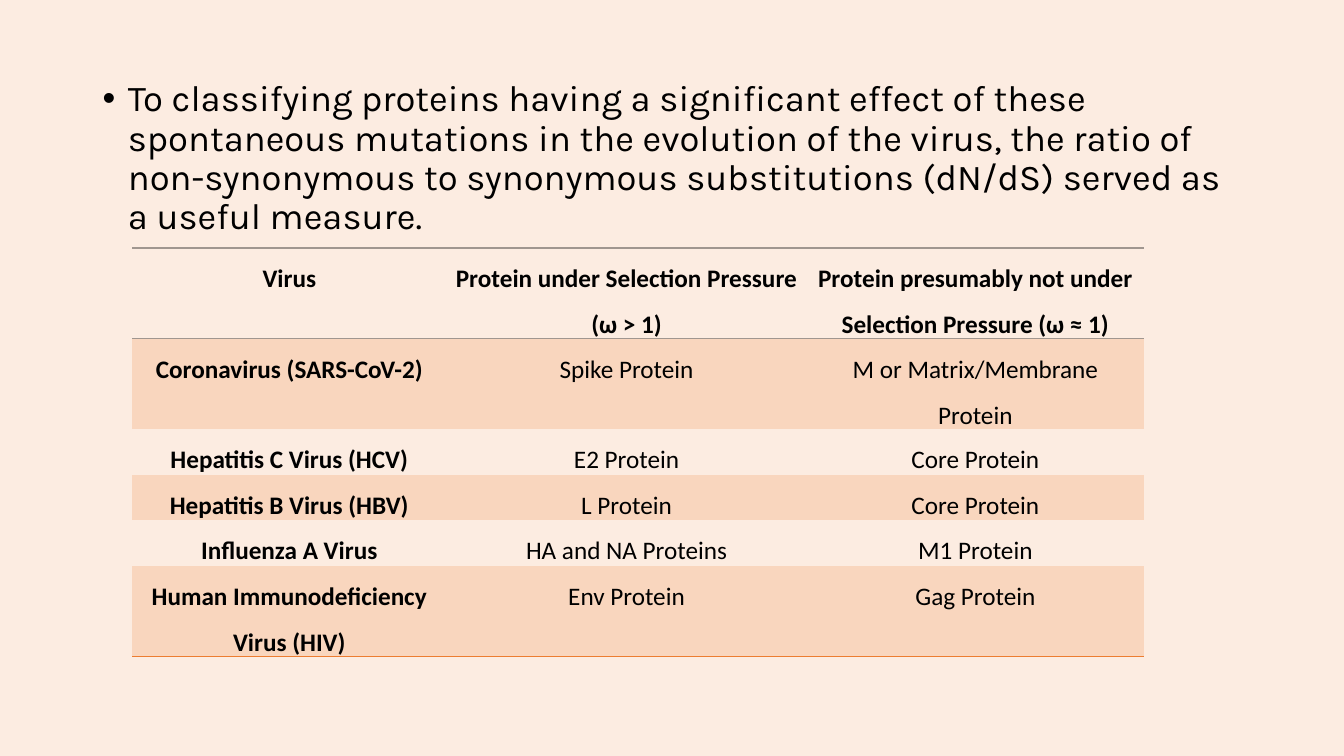
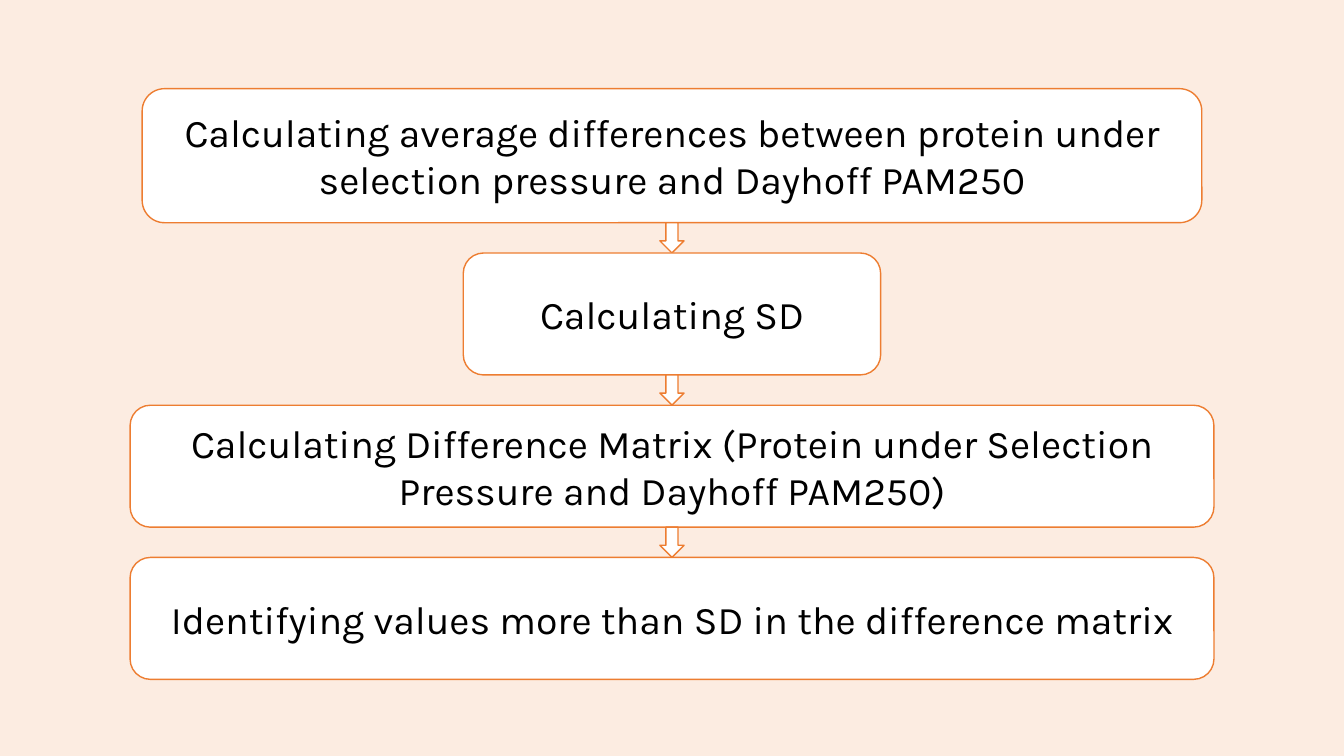
from lxml import etree
from pptx import Presentation
from pptx.dml.color import RGBColor
from pptx.enum.shapes import MSO_SHAPE
from pptx.enum.text import MSO_ANCHOR, PP_ALIGN
from pptx.oxml.ns import qn
from pptx.util import Inches, Pt

ROUNDED = MSO_SHAPE.ROUNDED_RECTANGLE
DOWN_ARROW = MSO_SHAPE.DOWN_ARROW
MIDDLE = MSO_ANCHOR.MIDDLE
CENTER = PP_ALIGN.CENTER

BACKGROUND = "FCECE1"
BAND = "F9D6BE"
ACCENT = "ED7D31"
RULE = "A0968F"
WHITE = "FFFFFF"
BLACK = "000000"
BODY_FONT = "Karla"
TABLE_FONT = "Calibri"
PLAIN_TABLE_STYLE = "{2D5ABB26-0587-4C30-8999-92F81FD0307C}"
SLIDE_WIDTH = 13.33

MEASURE = (
    "To classifying proteins having a significant effect of these spontaneous "
    "mutations in the evolution of the virus, the ratio of non-synonymous to "
    "synonymous substitutions (dN/dS) served as a useful measure."
)
PROTEINS = [
    ("Virus", "Protein under Selection Pressure (ω > 1)",
     "Protein presumably not under Selection Pressure (ω ≈ 1)"),
    ("Coronavirus (SARS-CoV-2)", "Spike Protein", "M or Matrix/Membrane Protein"),
    ("Hepatitis C Virus (HCV)", "E2 Protein", "Core Protein"),
    ("Hepatitis B Virus (HBV)", "L Protein", "Core Protein"),
    ("Influenza A Virus", "HA and NA Proteins", "M1 Protein"),
    ("Human Immunodeficiency Virus (HIV)", "Env Protein", "Gag Protein"),
]
COLUMN_WIDTHS = [3.12, 3.57, 3.35]
ROW_HEIGHTS = [0.9, 0.9, 0.43, 0.43, 0.43, 0.9]
STEPS = [
    ("Calculating average differences between protein under selection pressure "
     "and Dayhoff PAM250", 10.51, 1.33),
    ("Calculating SD", 4.14, 1.21),
    ("Calculating Difference Matrix (Protein under Selection Pressure and "
     "Dayhoff PAM250)", 10.75, 1.21),
    ("Identifying values more than SD in the difference matrix", 10.75, 1.21),
]
STEPS_TOP = 0.88
ARROW_WIDTH, ARROW_HEIGHT = 0.24, 0.3


def color(value):
    return RGBColor.from_string(value)


class Deck:
    def __init__(self):
        self.presentation = Presentation()
        self.presentation.slide_width = Inches(SLIDE_WIDTH)
        self.presentation.slide_height = Inches(7.5)
        self.slide = None

    def add_slide(self):
        self.slide = self.presentation.slides.add_slide(self.presentation.slide_layouts[6])
        fill = self.slide.background.fill
        fill.solid()
        fill.fore_color.rgb = color(BACKGROUND)

    def add_run(self, paragraph, text, size, font_name=BODY_FONT, bold=False):
        run = paragraph.add_run()
        run.text = text
        run.font.name = font_name
        run.font.size = Pt(size)
        run.font.bold = bold
        run.font.color.rgb = color(BLACK)

    def add_bullet_text(self, text, left, top, width, height):
        box = self.slide.shapes.add_textbox(
            Inches(left), Inches(top), Inches(width), Inches(height))
        box.text_frame.word_wrap = True
        paragraph = box.text_frame.paragraphs[0]
        paragraph.line_spacing = 0.9
        properties = paragraph._p.get_or_add_pPr()
        properties.set("marL", str(Inches(0.25)))
        properties.set("indent", str(-Inches(0.25)))
        etree.SubElement(properties, qn("a:buFont"), typeface="Arial")
        etree.SubElement(properties, qn("a:buChar"), char="•")
        self.add_run(paragraph, text, 26)

    def add_centered_shape(self, kind, top, width, height):
        shape = self.slide.shapes.add_shape(
            kind, Inches((SLIDE_WIDTH - width) / 2), Inches(top),
            Inches(width), Inches(height))
        shape.shadow.inherit = False
        shape.fill.solid()
        shape.fill.fore_color.rgb = color(WHITE)
        shape.line.color.rgb = color(ACCENT)
        shape.line.width = Pt(1)
        return shape

    def add_step(self, text, top, width, height):
        frame = self.add_centered_shape(ROUNDED, top, width, height).text_frame
        frame.word_wrap = True
        frame.vertical_anchor = MIDDLE
        paragraph = frame.paragraphs[0]
        paragraph.alignment = CENTER
        self.add_run(paragraph, text, 28)

    def add_border(self, cell, side, line_color):
        """Draw one cell edge; side is a:lnT or a:lnB. Call before filling the cell."""
        line = etree.SubElement(cell._tc.get_or_add_tcPr(), qn(side), w=str(Pt(1)))
        fill = etree.SubElement(line, qn("a:solidFill"))
        etree.SubElement(fill, qn("a:srgbClr"), val=line_color)

    def add_table(self, rows, left, top, column_widths, row_heights):
        table = self.slide.shapes.add_table(
            len(rows), len(column_widths), Inches(left), Inches(top),
            Inches(sum(column_widths)), Inches(sum(row_heights))).table
        table.first_row = table.horz_banding = False
        table._tbl.tblPr.find(qn("a:tableStyleId")).text = PLAIN_TABLE_STYLE
        for column, width in zip(table.columns, column_widths):
            column.width = Inches(width)
        for row, height in zip(table.rows, row_heights):
            row.height = Inches(height)
        for row_index, texts in enumerate(rows):
            for column_index, text in enumerate(texts):
                cell = table.cell(row_index, column_index)
                cell.margin_left = cell.margin_right = Inches(0.07)
                cell.margin_top = cell.margin_bottom = 0
                if row_index == 0:
                    self.add_border(cell, "a:lnT", RULE)
                    self.add_border(cell, "a:lnB", RULE)
                elif row_index == len(rows) - 1:
                    self.add_border(cell, "a:lnB", ACCENT)
                if row_index % 2:
                    cell.fill.solid()
                    cell.fill.fore_color.rgb = color(BAND)
                else:
                    cell.fill.background()
                paragraph = cell.text_frame.paragraphs[0]
                paragraph.alignment = CENTER
                paragraph.line_spacing = 1.5
                paragraph.space_after = Pt(10)
                is_heading = row_index == 0 or column_index == 0
                self.add_run(paragraph, text, 18, TABLE_FONT, is_heading)


def build_protein_slide(deck):
    deck.add_slide()
    deck.add_bullet_text(MEASURE, 0.92, 0.75, 11.5, 1.7)
    deck.add_table(PROTEINS, 1.31, 2.46, COLUMN_WIDTHS, ROW_HEIGHTS)


def build_steps_slide(deck):
    deck.add_slide()
    top = STEPS_TOP
    for index, (text, width, height) in enumerate(STEPS):
        if index:
            deck.add_centered_shape(DOWN_ARROW, top, ARROW_WIDTH, ARROW_HEIGHT)
            top += ARROW_HEIGHT
        deck.add_step(text, top, width, height)
        top += height


def main():
    deck = Deck()
    build_protein_slide(deck)
    build_steps_slide(deck)
    deck.presentation.save("out.pptx")


if __name__ == "__main__":
    main()
